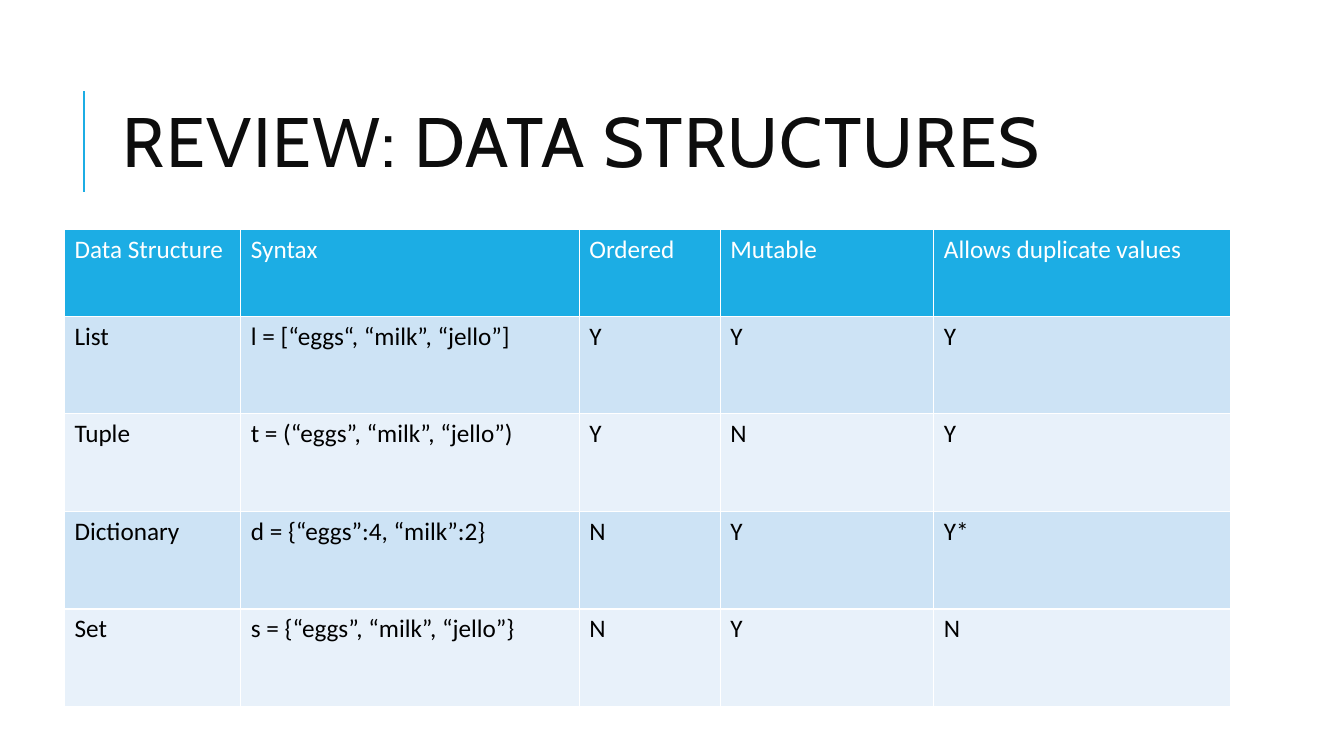
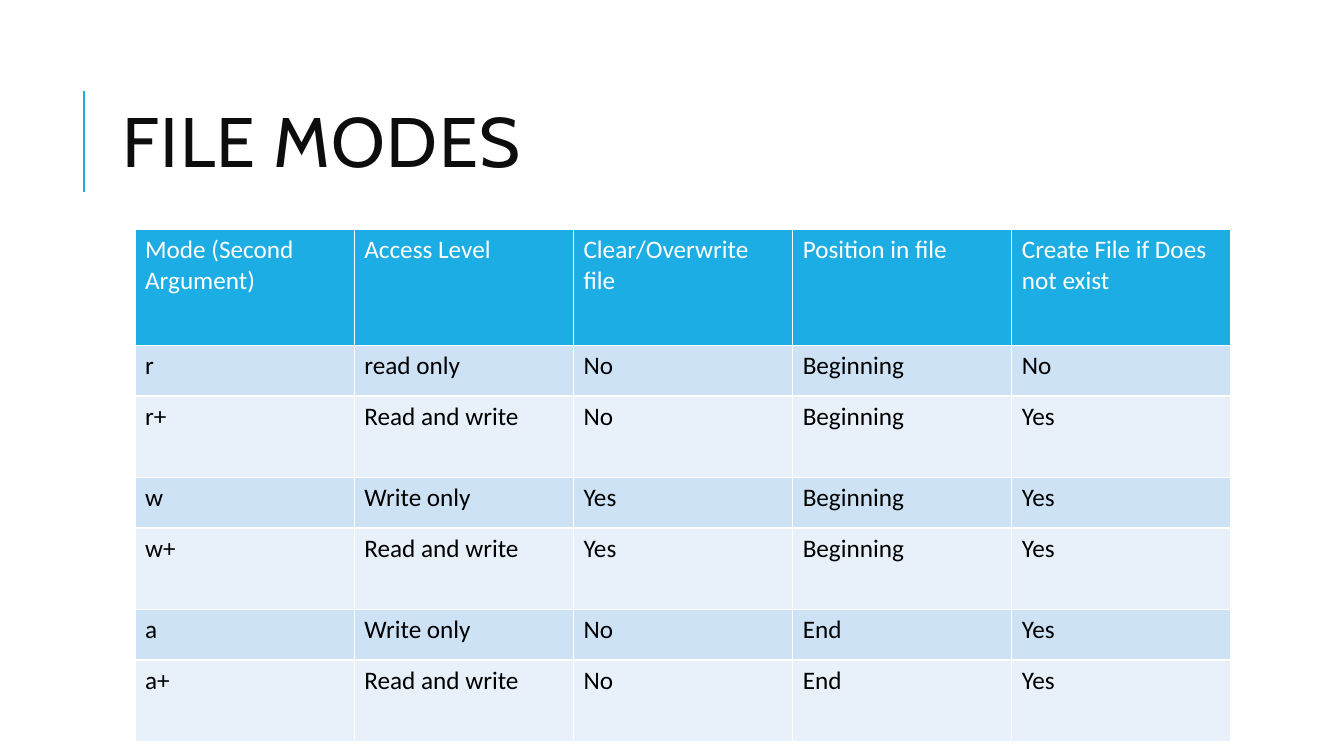
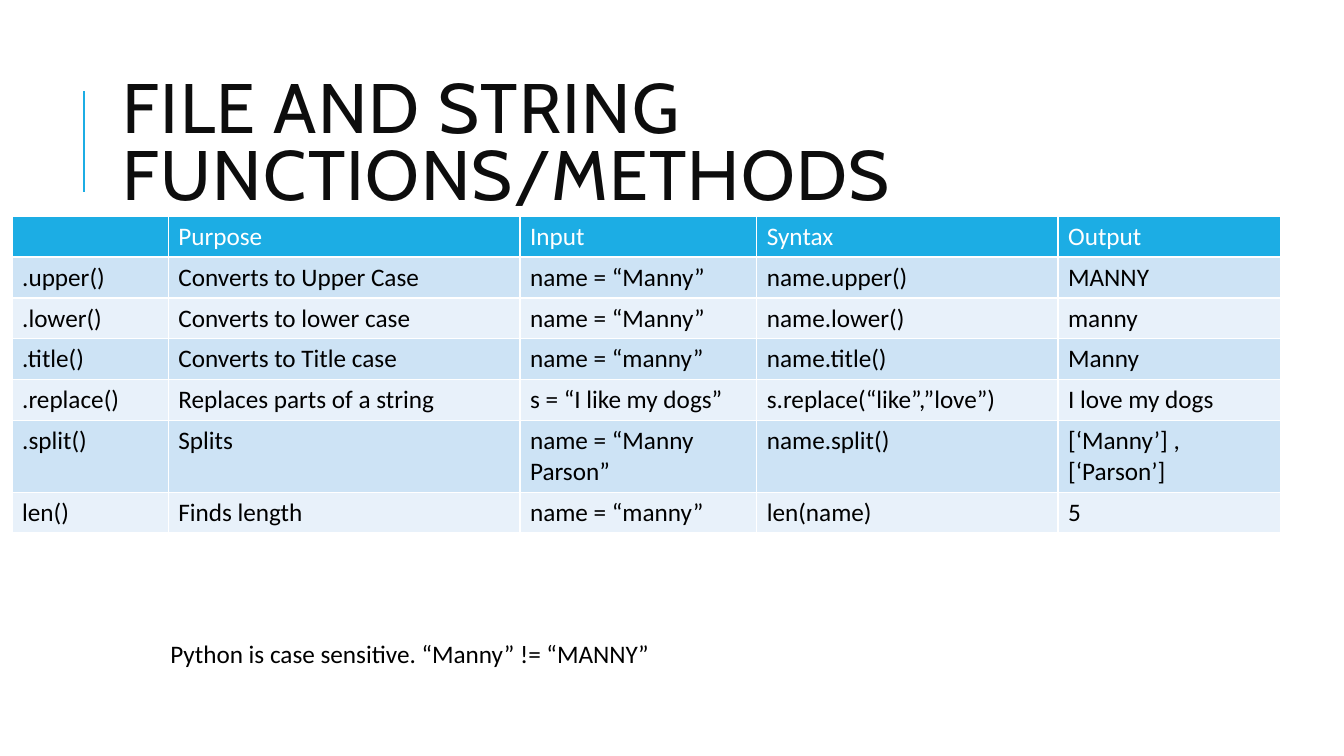
import pptx
import pptx.util
import pptx.dml.color
import pptx.enum.shapes
import pptx.enum.text
import pptx.oxml
import pptx.oxml.ns
import lxml.etree

ACCENT, WHITE, BLACK, INK = "1CADE4", "FFFFFF", "000000", "0D0D0D"
BANDS = ["CDE3F5", "E8F1FA"]
HEAD, BODY = "Cabin", "Calibri"


def color(code):
    return pptx.dml.color.RGBColor.from_string(code)


def tag(parent, name, **attrs):
    return lxml.etree.SubElement(parent, pptx.oxml.ns.qn(name), **attrs)


class Deck:
    """Holds the style and the current slide; boxes are percentages of the slide."""

    def __init__(self):
        self.prs = pptx.Presentation()
        self.prs.slide_width = pptx.util.Inches(13.33)
        self.prs.slide_height = pptx.util.Inches(7.5)
        self.slide = None

    def box(self, left, top, width, height):
        wide, high = self.prs.slide_width, self.prs.slide_height
        return [round(share * size / 100) for share, size in
                zip((left, top, width, height), (wide, high, wide, high))]

    def style(self, frame, size, font, code):
        for para in frame.paragraphs:
            for run in para.runs:
                run.font.size = pptx.util.Pt(size)
                run.font.name = font
                run.font.color.rgb = color(code)

    # Slide with its title and the accent rule beside it
    def page(self, text):
        self.slide = self.prs.slides.add_slide(self.prs.slide_layouts[5])
        title = self.slide.shapes.title
        title.left, title.top, title.width, title.height = self.box(8.4, 8.53, 79.75, 21.87)
        frame = title.text_frame
        frame.text = text
        frame.word_wrap = True
        frame.auto_size = pptx.enum.text.MSO_AUTO_SIZE.NONE
        frame.vertical_anchor = pptx.enum.text.MSO_ANCHOR.MIDDLE
        para = frame.paragraphs[0]
        para.alignment = pptx.enum.text.PP_ALIGN.LEFT
        para.line_spacing = 0.8
        self.style(frame, 50, HEAD, INK)
        para.runs[0].font._element.set("spc", "100")
        self.rule(6.25, 12, 13.4)

    def rule(self, left, top, height):
        x, y, _, high = self.box(left, top, 0, height)
        line = self.slide.shapes.add_connector(
            pptx.enum.shapes.MSO_CONNECTOR.STRAIGHT, x, y + high, x, y)
        line.line.color.rgb = color(ACCENT)
        line.line.width = pptx.util.Pt(1.5)
        tag(line._element.spPr, "a:effectLst")

    # Table: cols and rows are relative sizes within the box
    def table(self, box, cols, rows, data):
        left, top, width, height = self.box(*box)
        grid = self.slide.shapes.add_table(
            len(rows), len(cols), left, top, width, height).table
        for col, part in zip(grid.columns, cols):
            col.width = round(width * part / sum(cols))
        for row, part in zip(grid.rows, rows):
            row.height = round(height * part / sum(rows))
        for r, line in enumerate(data):
            for c, text in enumerate(line):
                self.cell(grid.cell(r, c), text, r)

    def cell(self, cell, text, row):
        cell.text_frame.text = text
        self.style(cell.text_frame, 18, BODY, BLACK if row else WHITE)
        props = cell._tc.get_or_add_tcPr()
        for side in "LRTB":
            edge = tag(props, "a:ln" + side, w=str(pptx.util.Pt(1)))
            tag(tag(edge, "a:solidFill"), "a:srgbClr", val=WHITE)
        cell.fill.solid()
        cell.fill.fore_color.rgb = color(BANDS[(row - 1) % 2] if row else ACCENT)

    def note(self, box, text):
        frame = self.slide.shapes.add_textbox(*self.box(*box)).text_frame
        frame.word_wrap = True
        frame.text = text
        self.style(frame, 18, BODY, BLACK)


def main():
    deck = Deck()

    # Data structures
    deck.page("REVIEW: DATA STRUCTURES")
    deck.table((4.8, 30.4, 86.8, 63.07), [1.75, 3.36, 1.4, 2.12, 2.95], [0.86] + [0.97] * 4, [
        ["Data Structure", "Syntax", "Ordered", "Mutable", "Allows duplicate values"],
        ["List", "l = [“eggs“, “milk”, “jello”]", "Y", "Y", "Y"],
        ["Tuple", "t = (“eggs”, “milk”, “jello”)", "Y", "N", "Y"],
        ["Dictionary", "d = {“eggs”:4, “milk”:2}", "N", "Y", "Y*"],
        ["Set", "s = {“eggs”, “milk”, “jello”}", "N", "Y", "N"],
    ])

    # File modes
    deck.page("FILE MODES")
    deck.table((10.05, 30.4, 81.55, 67.73), [1] * 5, [1.15] + [0.5, 0.81] * 3, [
        ["Mode (Second Argument)", "Access Level", "Clear/Overwrite file",
         "Position in file", "Create File if Does not exist"],
        ["r", "read only", "No", "Beginning", "No"],
        ["r+", "Read and write", "No", "Beginning", "Yes"],
        ["w", "Write only", "Yes", "Beginning", "Yes"],
        ["w+", "Read and write", "Yes", "Beginning", "Yes"],
        ["a", "Write only", "No", "End", "Yes"],
        ["a+", "Read and write", "No", "End", "Yes"],
    ])

    # String methods
    deck.page("FILE AND STRING FUNCTIONS/METHODS")
    deck.table((0.9, 28.6, 94.4, 41.73), [1.55, 3.49, 2.35, 2.99, 2.21],
               [0.41] * 5 + [0.71, 0.41], [
        ["", "Purpose", "Input", "Syntax", "Output"],
        [".upper()", "Converts to Upper Case", "name = “Manny”", "name.upper()", "MANNY"],
        [".lower()", "Converts to lower case", "name = “Manny”", "name.lower()", "manny"],
        [".title()", "Converts to Title case", "name = “manny”", "name.title()", "Manny"],
        [".replace()", "Replaces parts of a string", "s = “I like my dogs”",
         "s.replace(“like”,”love”)", "I love my dogs"],
        [".split()", "Splits", "name = “Manny Parson”", "name.split()", "[‘Manny’] , [‘Parson’]"],
        ["len()", "Finds length", "name = “manny”", "len(name)", "5"],
    ])
    deck.note((11.93, 83.73, 44.4, 5.33), "Python is case sensitive. “Manny” != “MANNY”")

    deck.prs.save("out.pptx")


if __name__ == "__main__":
    main()
